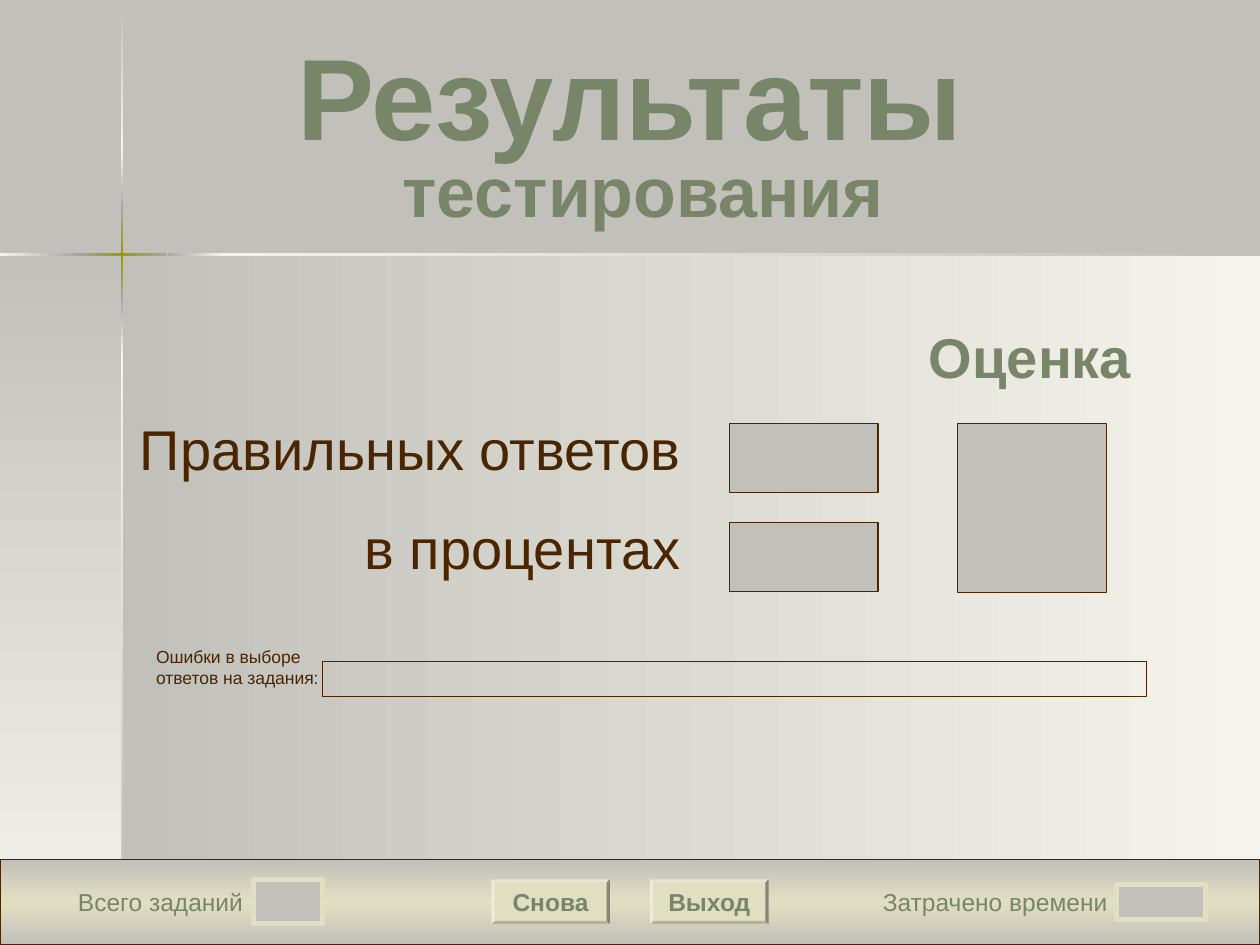
from copy import deepcopy
from dataclasses import dataclass
from itertools import pairwise

from pptx import Presentation
from pptx.dml.color import RGBColor
from pptx.enum.shapes import MSO_SHAPE as Shape
from pptx.enum.text import MSO_ANCHOR as Anchor, MSO_AUTO_SIZE as AutoSize, PP_ALIGN as Align
from pptx.oxml.ns import qn
from pptx.util import Inches, Pt


@dataclass(frozen=True)
class Theme:
    """Colours, font and type sizes of the slide."""
    stone: str = "C2C0BA"
    ivory: str = "F4F4EC"
    steel: str = "A5A7AF"
    olive: str = "9C9800"
    cream: str = "E1DFC1"
    brown: str = "4A2500"
    sage: str = "788569"
    font: str = "Arial"
    headline: int = 66
    gap: int = 54
    subtitle: int = 40
    result: int = 32
    control: int = 14
    note: int = 10


@dataclass(frozen=True)
class Box:
    """A rectangle in inches."""
    left: float
    top: float
    width: float
    height: float

    def inner(self, x, y, width, height):
        """Return an inner box given in percent of this one."""
        return Box(self.left + self.width * x / 100, self.top + self.height * y / 100,
                   self.width * width / 100, self.height * height / 100)

    def emu(self):
        """Return left, top, width and height as lengths."""
        return [Inches(n) for n in (self.left, self.top, self.width, self.height)]


THEME = Theme()


def set_gradient(shape, colours, angle):
    """Spread the colours evenly over the shape, angle measured clockwise."""
    shape.fill.gradient()
    shape.fill.gradient_angle = (360 - angle) % 360
    stops = shape._element.spPr.find(qn("a:gradFill")).find(qn("a:gsLst"))
    for _ in colours[2:]:
        stops.append(deepcopy(stops[0]))
    for index, (stop, colour) in enumerate(zip(shape.fill.gradient_stops, colours)):
        stop.color.rgb = RGBColor.from_string(colour)
        stop.position = index / (len(colours) - 1)


def add_panel(slide, box, fill=None, line=None, weight=0.75, angle=0, kind=Shape.RECTANGLE):
    """Add a shape with a plain, graded or absent fill."""
    panel = slide.shapes.add_shape(kind, *box.emu())
    panel.shadow.inherit = False
    if isinstance(fill, tuple):
        set_gradient(panel, fill, angle)
    elif fill:
        panel.fill.solid()
        panel.fill.fore_color.rgb = RGBColor.from_string(fill)
    else:
        panel.fill.background()
    if line:
        panel.line.color.rgb = RGBColor.from_string(line)
        panel.line.width = Pt(weight)
    else:
        panel.line.fill.background()
    return panel


def write(shape, *lines, colour, align=Align.LEFT, bold=False, spacing=None, before=0,
          anchor=Anchor.TOP, insets=(0.1, 0.05, 0.1, 0.05), wrap=True):
    """Write lines of (text, size) runs into a shape as one paragraph."""
    frame = shape.text_frame
    frame.auto_size = AutoSize.NONE
    frame.word_wrap = wrap
    frame.vertical_anchor = anchor
    (frame.margin_left, frame.margin_top,
     frame.margin_right, frame.margin_bottom) = map(Inches, insets)
    paragraph = frame.paragraphs[0]
    paragraph.alignment = align
    paragraph.line_spacing = spacing
    paragraph.space_before = Pt(before)
    for number, runs in enumerate(lines):
        if number:
            paragraph.add_line_break()
        for text, size in runs:
            run = paragraph.add_run()
            run.text = text
            run.font.name = THEME.font
            run.font.size = Pt(size)
            run.font.bold = bold
            run.font.color.rgb = RGBColor.from_string(colour)


def add_label(slide, box, text, size, **style):
    """Add a text box holding one line of text."""
    write(slide.shapes.add_textbox(*box.emu()), [(text, size)], **style)


def draw_backdrop(slide, box):
    """Draw the graded fields and the shining cross between them."""
    across, down, thick = 9.7, 26.93, 0.02
    fade = (THEME.stone, THEME.ivory)
    add_panel(slide, box.inner(across, down, 100 - across, 100 - down), fade)
    add_panel(slide, box.inner(0, down, across, 100 - down), fade, angle=90)
    dim = (THEME.ivory, THEME.steel)
    glow = (THEME.steel, THEME.olive, THEME.steel)
    beams = (dim, glow, dim[::-1], fade[::-1])
    column = Box(box.left + box.width * across / 100 - thick / 2, box.top, thick, box.height)
    for (start, end), colours in zip(pairwise((0.1, 16.1, 22, 31.75, 37.6, 100)), (fade, *beams)):
        add_panel(slide, column.inner(0, start, 100, end - start), colours, angle=90)
    row = Box(box.left, box.top + box.height * down / 100 - thick / 2, box.width, thick)
    for (start, end), colours in zip(pairwise((0, 6, 13.3, 17.7, 100)), beams):
        add_panel(slide, row.inner(start, 0, end - start, 100), colours)


def draw_heading(slide, box):
    """Place and format the two-line title."""
    title = slide.shapes.title
    title.left, title.top, title.width, title.height = box.emu()
    write(title, [("Результаты", THEME.headline)],
          [(" ", THEME.gap), ("тестирования", THEME.subtitle)],
          colour=THEME.sage, align=Align.CENTER, bold=True, spacing=0.65, anchor=Anchor.MIDDLE)


def draw_results(slide, box):
    """Draw the score rows, the grade and the list of mistakes."""
    style = dict(spacing=0.9, before=8)
    framed = dict(fill=THEME.stone, line=THEME.brown)
    for row, caption in enumerate(("Правильных ответов", "в процентах")):
        shift = row * 24.9
        add_label(slide, box.inner(0, 23.17 + shift, 56.1, 19.05), caption, THEME.result,
                  colour=THEME.brown, align=Align.RIGHT, **style)
        add_panel(slide, box.inner(59.63, 25.08 + shift, 14.39, 17.46), **framed)
    add_label(slide, box.inner(77.44, 0, 22.56, 19.05), "Оценка", THEME.result,
              colour=THEME.sage, align=Align.CENTER, bold=True, **style)
    add_panel(slide, box.inner(81.71, 25.08, 14.39, 42.54), **framed)
    add_label(slide, box.inner(2.93, 79.68, 18.29, 13.97), "Ошибки в выборе ответов на задания:",
              THEME.note, colour=THEME.brown, before=6.2, insets=(0.1, 0.05, 0, 0.05))
    add_panel(slide, box.inner(20.24, 85.08, 79.76, 8.89), line=THEME.brown)


def draw_footer(slide, box):
    """Draw the bottom bar with its counters and buttons."""
    add_panel(slide, box, (THEME.stone, THEME.cream, THEME.stone), THEME.brown, angle=90)
    counters = (("Всего заданий", (5.9, 13.4), (20.1, 23.53, 5.5, 51.47)),
                ("Затрачено времени", (69, 18.9), (88.6, 29.41, 7.1, 41.18)))
    for caption, (left, width), field in counters:
        add_label(slide, box.inner(left, 32.35, width, 33.82), caption, THEME.control,
                  colour=THEME.sage, align=Align.RIGHT, before=8.8, insets=(0, 0, 0, 0), wrap=False)
        add_panel(slide, box.inner(*field), THEME.stone, THEME.cream, 3)
    for caption, left in (("Снова", 39), ("Выход", 51.6)):
        button = add_panel(slide, box.inner(left, 23.53, 9.4, 52), THEME.cream, kind=Shape.BEVEL)
        button.adjustments[0] = 0.07
        write(button, [(caption, THEME.control)], colour=THEME.sage, align=Align.CENTER,
              bold=True, anchor=Anchor.MIDDLE, wrap=False)


def main():
    """Build the test results slide."""
    deck = Presentation()
    page = Box(0, 0, 10, 7.5)
    deck.slide_width, deck.slide_height = Inches(page.width), Inches(page.height)
    slide = deck.slides.add_slide(deck.slide_layouts[5])
    slide.background.fill.solid()
    slide.background.fill.fore_color.rgb = RGBColor.from_string(THEME.stone)
    draw_backdrop(slide, page)
    draw_heading(slide, page.inner(7.5, 5.2, 85, 21.47))
    draw_results(slide, page.inner(9, 34.27, 82, 42))
    draw_footer(slide, page.inner(0, 90.93, 100, 9.07))
    deck.save("out.pptx")


if __name__ == "__main__":
    main()
